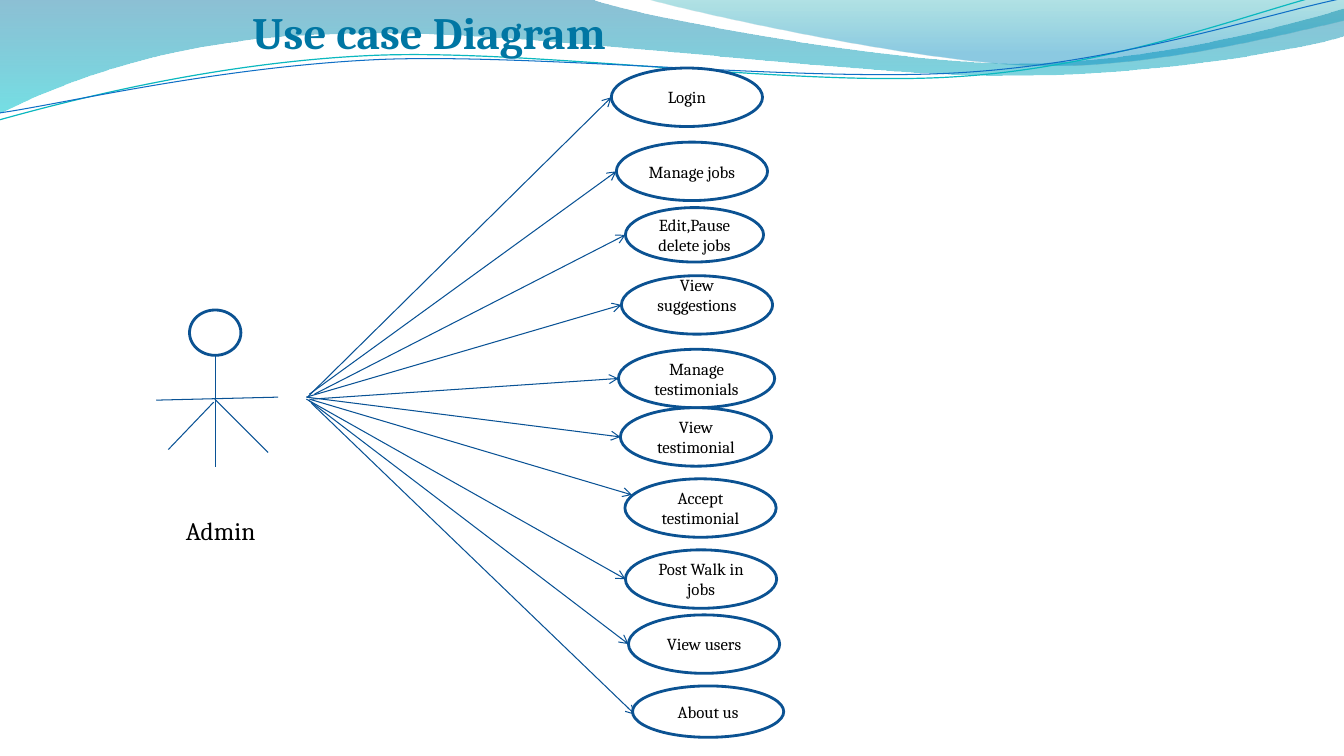
"""Build the admin use case diagram slide."""
from dataclasses import dataclass
from typing import Any, NamedTuple, Optional

from lxml import etree
from pptx import Presentation, util as u
from pptx.dml.color import RGBColor
from pptx.enum import shapes, text
from pptx.oxml import ns


@dataclass(frozen=True)
class Theme:
    font: str = "Cambria"
    title: str = "0076A3"
    ink: str = "000000"
    paper: str = "FFFFFF"
    outline: str = "0B5292"
    link: str = "095295"
    title_size: int = 32
    actor_size: int = 18
    case_size: int = 12
    outline_width: float = 2
    link_width: float = 0.75


class Point(NamedTuple):
    col: float
    row: float


class Box(NamedTuple):
    col: float
    row: float
    cols: float
    rows: float


class Stop(NamedTuple):
    position: float
    color: str
    opacity: int


class Wave(NamedTuple):
    start: Point
    steps: list[tuple[float, ...]]
    stops: tuple[Stop, ...] = ()
    line: str = ""
    width: float = 0


class UseCase(NamedTuple):
    label: str
    box: Box
    origin: Point
    tip: Optional[Point] = None
    bottom_inset: float = 0.5


THEME = Theme()
CELL = u.Inches(0.1)
COLS, ROWS = 133.33, 75

WAVES = [
    Wave(Point(0, 0), [
        (58.5, -0.1), (63.4, 1.7, 88.5, 6.3, 101.1, 6.3),
        (113.8, 6.3, 127.8, 2.6, 133.3, 0.9), (133.5, 3.6),
        (131.1, 4.4, 116, 7.6, 99.4, 7.5), (82.9, 7.5, 50.9, 2.8, 34.3, 3.4),
        (17.2, 3.6, 6.1, 8.3, -0.1, 11.3)],
        stops=(Stop(0, "0074A1", 45), Stop(1, "00C6CF", 55))),
    Wave(Point(63.9, -0.1), [
        (67.9, 1.1, 90.9, 6.2, 102.5, 6.5), (114.1, 6.9, 128.2, 3.2, 133.3, 2.1),
        (133.3, 0)],
        stops=(Stop(0, "00A1A9", 30), Stop(0.8, "008BBF", 45))),
    Wave(Point(-0.1, 11.9), [
        (6.4, 10.1, 21.1, 6.2, 36.9, 5.5), (52.7, 4.8, 79, 8.7, 95, 7.6),
        (111, 6.6, 125.2, 0.8, 133.1, -1)], line="0AB8BF", width=0.85),
    Wave(Point(0, 11.2), [
        (6.3, 10.3, 21.8, 6.6, 37.8, 5.9), (53.7, 5.3, 79.6, 8.2, 95.5, 7.2),
        (111.5, 6.2, 125.5, 1.4, 133.4, -0.2)], line="0F6FC6", width=0.75),
]

HEAD = Box(18.8, 30.75, 5.1, 4.5)
LIMBS = [
    (Point(21.35, 35.2), Point(21.35, 46.3)),
    (Point(15.5, 39.7), Point(27.6, 39.4)),
    (Point(21.3, 39.6), Point(26.6, 44.9)),
    (Point(21.2, 39.9), Point(16.7, 44.6)),
]

USE_CASES = [
    UseCase("Login", Box(60.65, 6.75, 15, 5.8), Point(30.6, 39.3)),
    UseCase("Manage jobs", Box(61.15, 14.1, 15, 5.8), Point(30.7, 39.1)),
    UseCase("Edit,Pause delete jobs", Box(62.05, 20.6, 13.7, 5.4), Point(31.2, 39.1)),
    UseCase("View suggestions", Box(61.65, 27.35, 15, 5.8), Point(30.4, 39.4),
            bottom_inset=2.5),
    UseCase("Manage testimonials", Box(61.35, 34.65, 15.5, 5.8), Point(30.9, 39.6)),
    UseCase("View testimonial", Box(61.55, 40.45, 15, 5.8), Point(30.4, 39.4)),
    UseCase("Accept testimonial", Box(62, 47.5, 15, 5.8), Point(30.7, 39.6),
            tip=Point(62.7, 49.1)),
    UseCase("Post Walk in jobs", Box(62.05, 54.55, 15, 5.8), Point(30.4, 39.6)),
    UseCase("View users", Box(62.35, 61, 15, 5.8), Point(30.6, 39.7)),
    UseCase("About us", Box(62.75, 68.05, 15, 5.1), Point(30.9, 40),
            tip=Point(63, 70.9)),
]


def grid(*cells: float) -> list[int]:
    return [round(cell * CELL) for cell in cells]


def apply(obj: Any, values: dict[str, Any]) -> None:
    for name, value in values.items():
        setattr(obj, name, value)


def set_line(s: Any, color: str, width: float) -> None:
    s.line.color.rgb = RGBColor.from_string(color)
    s.line.width = u.Pt(width)


def write(tf: Any, words: str, size: int, color: str, bold: bool = False) -> Any:
    p = tf.paragraphs[0]
    r = p.add_run()
    apply(r, {"text": words})
    apply(r.font, {"name": THEME.font, "size": u.Pt(size), "bold": bold})
    r.font.color.rgb = RGBColor.from_string(color)
    return p


def bend(s: Any, steps: list[tuple[float, ...]]) -> None:
    segments = list(s._element.spPr.iter(ns.qn("a:lnTo")))
    for segment, step in zip(segments, steps):
        if len(step) == 2:
            continue
        curve = etree.Element(ns.qn("a:cubicBezTo"))
        cells = grid(*step)
        for x, y in zip(cells[::2], cells[1::2]):
            etree.SubElement(curve, ns.qn("a:pt"), x=str(x - s.left), y=str(y - s.top))
        segment.getparent().replace(segment, curve)


def draw_wave(sp: Any, wave: Wave) -> None:
    builder = sp.build_freeform(*grid(*wave.start), scale=1.0)
    ends = [tuple(grid(*step[-2:])) for step in wave.steps]
    builder.add_line_segments(ends, close=bool(wave.stops))
    s = builder.convert_to_shape()
    bend(s, wave.steps)
    s.shadow.inherit = False
    if not wave.stops:
        s.fill.background()
        set_line(s, wave.line, wave.width)
        return
    s.line.fill.background()
    s.fill.gradient()
    s.fill.gradient_angle = 270
    for target, stop in zip(s.fill.gradient_stops, wave.stops):
        target.position = stop.position
        target.color.rgb = RGBColor.from_string(stop.color)
    for color, stop in zip(s._element.spPr.iter(ns.qn("a:srgbClr")), wave.stops):
        etree.SubElement(color, ns.qn("a:alpha"), val=str(stop.opacity * 1000))


def draw_link(sp: Any, start: Point, end: Point, arrow: bool = False) -> None:
    s = sp.add_connector(shapes.MSO_CONNECTOR.STRAIGHT, *grid(*start, *end))
    set_line(s, THEME.link, THEME.link_width)
    props = s._element.spPr
    if arrow:
        etree.SubElement(props.find(ns.qn("a:ln")), ns.qn("a:tailEnd"), type="arrow")
    etree.SubElement(props, ns.qn("a:effectLst"))


def draw_round(sp: Any, kind: Any, box: Box) -> Any:
    s = sp.add_shape(kind, *grid(*box))
    s.shadow.inherit = False
    s.fill.solid()
    s.fill.fore_color.rgb = RGBColor.from_string(THEME.paper)
    set_line(s, THEME.outline, THEME.outline_width)
    return s


def draw_use_case(sp: Any, case: UseCase) -> None:
    tf = draw_round(sp, shapes.MSO_SHAPE.OVAL, case.box).text_frame
    apply(tf, {"word_wrap": True, "vertical_anchor": text.MSO_ANCHOR.MIDDLE,
               "margin_bottom": grid(case.bottom_inset)[0]})
    p = write(tf, case.label, THEME.case_size, THEME.ink)
    p.alignment = text.PP_ALIGN.CENTER


def add_label(sp: Any, box: Box, wrap: bool, inset: float = 1) -> Any:
    tf = sp.add_textbox(*grid(*box)).text_frame
    apply(tf, {"word_wrap": wrap, "margin_left": grid(inset)[0],
               "auto_size": text.MSO_AUTO_SIZE.SHAPE_TO_FIT_TEXT})
    return tf


def main() -> None:
    prs = Presentation()
    prs.slide_width, prs.slide_height = grid(COLS, ROWS)
    sp = prs.slides.add_slide(prs.slide_layouts[6]).shapes
    for wave in WAVES:
        draw_wave(sp, wave)
    draw_round(sp, shapes.MSO_SHAPE.FLOWCHART_CONNECTOR, HEAD)
    for limb in LIMBS:
        draw_link(sp, *limb)
    write(add_label(sp, Box(17.45, 50.6, 9.5, 4), False), "Admin",
          THEME.actor_size, THEME.ink)
    for case in USE_CASES:
        left_middle = Point(case.box.col, case.box.row + case.box.rows / 2)
        draw_link(sp, case.origin, case.tip or left_middle, arrow=True)
    for case in USE_CASES:
        draw_use_case(sp, case)
    write(add_label(sp, Box(7.5, 0, 79.6, 6.4), True, inset=17.55), "Use case Diagram",
          THEME.title_size, THEME.title, bold=True)
    prs.save("out.pptx")


if __name__ == "__main__":
    main()
